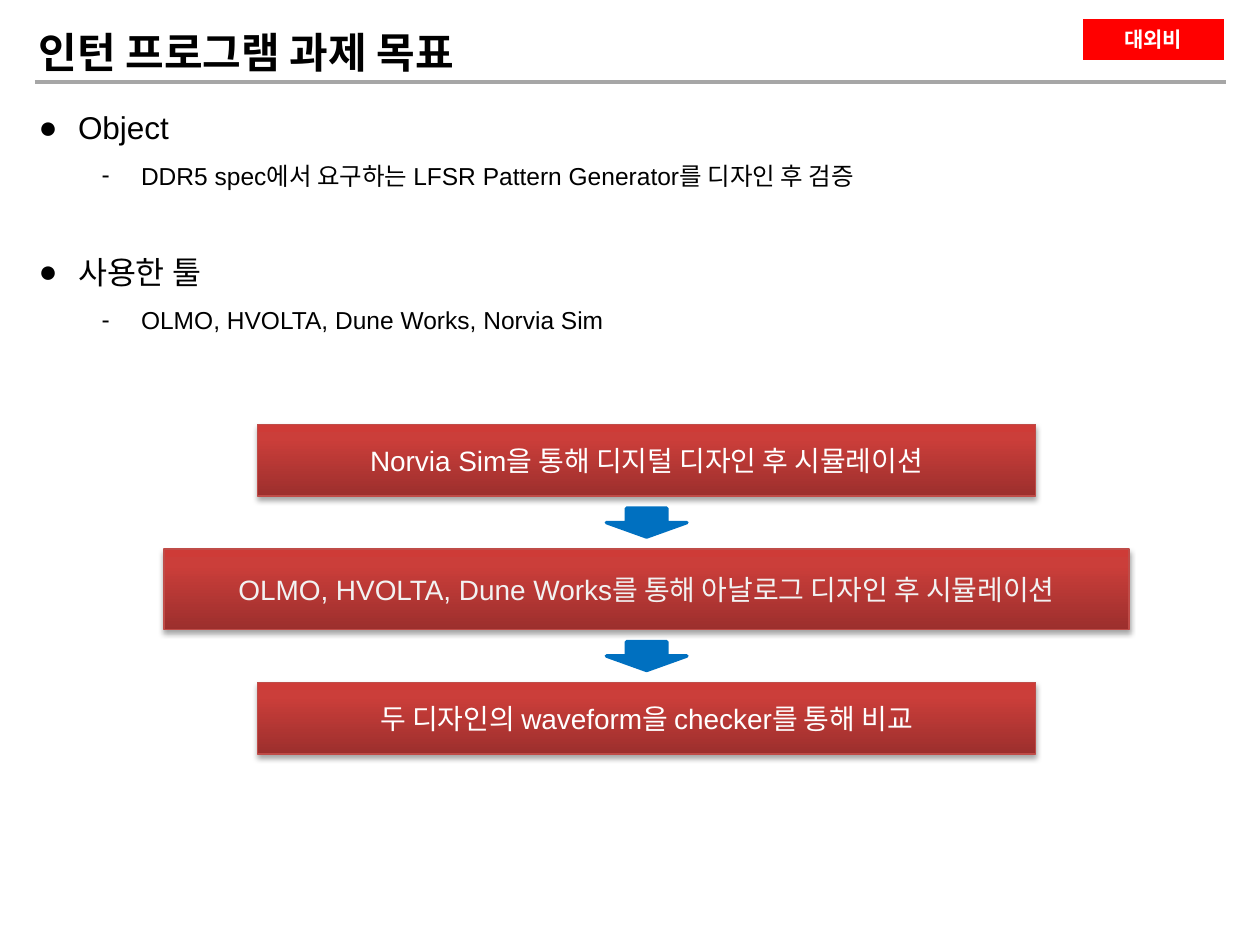
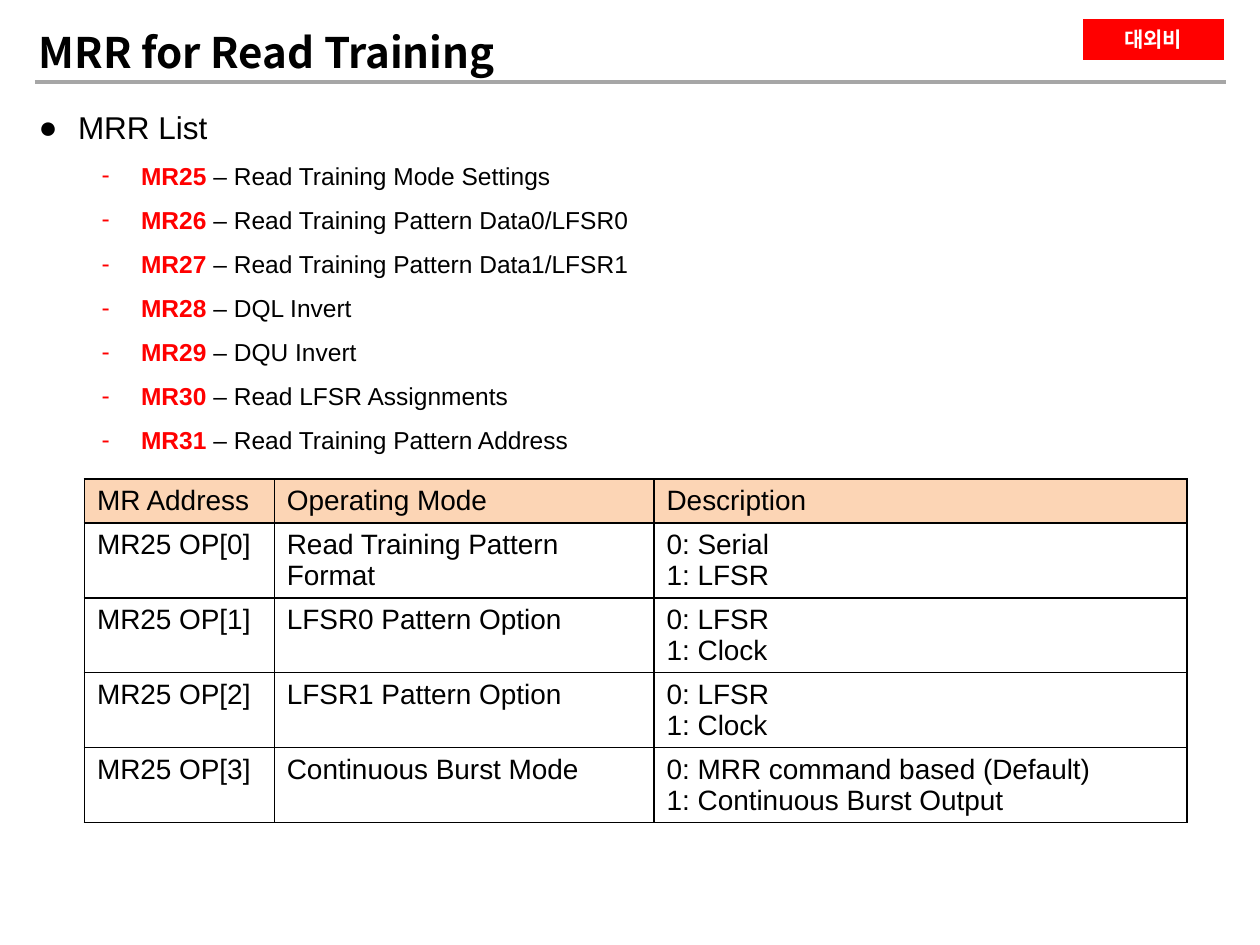
"""Build two slides on an internship project: its goal and the MRR list."""
from dataclasses import dataclass

import lxml.etree
import pptx
import pptx.dml.color
import pptx.enum.shapes
import pptx.enum.text
import pptx.oxml
import pptx.oxml.ns
import pptx.presentation
import pptx.shapes.autoshape
import pptx.slide
import pptx.table
import pptx.text.text
import pptx.util

Pt = pptx.util.Pt
qn = pptx.oxml.ns.qn
Shapes = pptx.enum.shapes.MSO_SHAPE
Align = pptx.enum.text.PP_ALIGN
Anchor = pptx.enum.text.MSO_ANCHOR

COLORS = {
    "black": "000000",
    "white": "FFFFFF",
    "off_white": "F2F2F2",
    "red": "FF0000",
    "rule": "A6A6A6",
    "arrow": "0070C0",
    "step_bottom": "9C2F2D",
    "step_middle": "CB3E3A",
    "step_top": "CE3B37",
    "step_line": "BF4C48",
    "table_header": "FCD5B5",
}
BODY_FONT = "Arial"
KOREAN_FONT = "Noto Sans CJK KR"


@dataclass(frozen=True)
class Bullet:
    """A list line; a tag is the red bold start of the line."""
    text: str
    level: int = 1
    tag: str = ""
    space_before: float = 0


@dataclass(frozen=True)
class Step:
    """A box of the work flow."""
    text: str
    width: float
    height: float
    color: str = "white"


@dataclass(frozen=True)
class BulletStyle:
    """The look of one list level."""
    size: float
    indent: float
    mark: str


BULLET_STYLES = (BulletStyle(18, 22.5, "●"), BulletStyle(14, 58.5, "-"))
HANGING = 22.5

GOALS = (
    Bullet("Object", 0),
    Bullet("DDR5 spec에서 요구하는 LFSR Pattern Generator를 디자인 후 검증"),
    Bullet("사용한 툴", 0, space_before=25),
    Bullet("OLMO, HVOLTA, Dune Works, Norvia Sim"),
)
STEPS = (
    Step("Norvia Sim을 통해 디지털 디자인 후 시뮬레이션", 444.5, 41),
    Step("OLMO, HVOLTA, Dune Works를 통해 아날로그 디자인 후 시뮬레이션",
         551.5, 46, "off_white"),
    Step("두 디자인의 waveform을 checker를 통해 비교", 444.5, 41),
)
REGISTERS = (
    "Read Training Mode Settings",
    "Read Training Pattern Data0/LFSR0",
    "Read Training Pattern Data1/LFSR1",
    "DQL Invert",
    "DQU Invert",
    "Read LFSR Assignments",
    "Read Training Pattern Address",
)
MODES = (
    ("MR Address", "Operating Mode", "Description"),
    ("MR25 OP[0]", "Read Training Pattern Format", "0: Serial\n1: LFSR"),
    ("MR25 OP[1]", "LFSR0 Pattern Option", "0: LFSR\n1: Clock"),
    ("MR25 OP[2]", "LFSR1 Pattern Option", "0: LFSR\n1: Clock"),
    ("MR25 OP[3]", "Continuous Burst Mode",
     "0: MRR command based (Default)\n1: Continuous Burst Output"),
)


def rgb(name: str) -> pptx.dml.color.RGBColor:
    """Return a palette colour."""
    return pptx.dml.color.RGBColor.from_string(COLORS[name])


def add_element(parent, tag: str, **attributes: str):
    """Append a DrawingML element and return it."""
    return lxml.etree.SubElement(parent, qn(tag), attributes)


def format_run(run, size: float, color: str = "black", bold: bool = False,
               font: str = BODY_FONT) -> None:
    """Set a run's fonts, size, weight and colour."""
    run.font.name = font
    run.font.size = Pt(size)
    run.font.bold = bold
    run.font.color.rgb = rgb(color)
    add_element(run.font._element, "a:ea", typeface=KOREAN_FONT)


def format_text(frame: pptx.text.text.TextFrame, size: float,
                color: str = "black", bold: bool = False,
                font: str = BODY_FONT, align: Align = Align.LEFT) -> None:
    """Format every paragraph of a text frame alike."""
    for paragraph in frame.paragraphs:
        paragraph.alignment = align
        for run in paragraph.runs:
            format_run(run, size, color, bold, font)


def add_shape(slide: pptx.slide.Slide, kind: Shapes, left: float, top: float,
              width: float, height: float, fill: str, line: str,
              line_width: float) -> pptx.shapes.autoshape.Shape:
    """Add a filled and outlined shape without a shadow."""
    shape = slide.shapes.add_shape(kind, Pt(left), Pt(top), Pt(width), Pt(height))
    shape.shadow.inherit = False
    shape.fill.solid()
    shape.fill.fore_color.rgb = rgb(fill)
    shape.line.color.rgb = rgb(line)
    shape.line.width = Pt(line_width)
    return shape


def add_base_slide(presentation: pptx.presentation.Presentation,
                   title: str) -> pptx.slide.Slide:
    """Add a slide with the title, the rule and the confidential badge."""
    slide = presentation.slides.add_slide(presentation.slide_layouts[5])
    badge = add_shape(slide, Shapes.RECTANGLE, 616.5, 8.5, 85, 28,
                      "red", "white", 4.5)
    badge.text_frame.text = "대외비"
    badge.text_frame.vertical_anchor = Anchor.MIDDLE
    format_text(badge.text_frame, 12, "white", True, KOREAN_FONT, Align.CENTER)

    rule = slide.shapes.add_connector(pptx.enum.shapes.MSO_CONNECTOR.STRAIGHT,
                                      Pt(20), Pt(47), Pt(700.5), Pt(47))
    rule.line.color.rgb = rgb("rule")
    rule.line.width = Pt(2)
    add_element(rule._element.spPr, "a:effectLst")

    heading = slide.shapes.title
    heading.left, heading.top = Pt(15), Pt(11.5)
    heading.width, heading.height = Pt(522), Pt(36)
    frame = heading.text_frame
    frame.text = title
    frame.auto_size = pptx.enum.text.MSO_AUTO_SIZE.NONE
    frame.vertical_anchor = Anchor.MIDDLE
    format_text(frame, 24, bold=True, font=KOREAN_FONT)
    return slide


def add_bullets(slide: pptx.slide.Slide, bullets: tuple[Bullet, ...],
                width: float, height: float) -> None:
    """Add the two-level list below the title."""
    box = slide.shapes.add_textbox(Pt(15), Pt(47.5), Pt(width), Pt(height))
    frame = box.text_frame
    frame.word_wrap = True
    for index, bullet in enumerate(bullets):
        style = BULLET_STYLES[bullet.level]
        paragraph = frame.add_paragraph() if index else frame.paragraphs[0]
        paragraph.level = bullet.level
        paragraph.line_spacing = 1.5
        paragraph.space_before = Pt(bullet.space_before)
        properties = paragraph._p.get_or_add_pPr()
        properties.set("marL", str(Pt(style.indent)))
        properties.set("indent", str(-Pt(HANGING)))
        add_element(properties, "a:buFont", typeface=BODY_FONT)
        add_element(properties, "a:buChar", char=style.mark)
        if bullet.tag:
            run = paragraph.add_run()
            run.text = bullet.tag
            format_run(run, style.size, "red", True)
        run = paragraph.add_run()
        run.text = bullet.text
        format_run(run, style.size)


def style_step(shape: pptx.shapes.autoshape.Shape) -> None:
    """Give a step box its three-stop gradient and soft shadow."""
    shape.fill.gradient()
    shape.fill.gradient_angle = 90
    stops = shape._element.spPr.find(qn("a:gradFill")).find(qn("a:gsLst"))
    for stop in list(stops):
        stops.remove(stop)
    for position, name in ((0, "step_bottom"), (80, "step_middle"), (100, "step_top")):
        stop = add_element(stops, "a:gs", pos=str(position * 1000))
        add_element(stop, "a:srgbClr", val=COLORS[name])
    effects = shape._element.spPr.find(qn("a:effectLst"))
    shadow = add_element(effects, "a:outerShdw", blurRad=str(Pt(3.1)),
                         dist=str(Pt(1.8)), dir="5400000", rotWithShape="0")
    color = add_element(shadow, "a:srgbClr", val=COLORS["black"])
    add_element(color, "a:alpha", val="35000")


def add_flow(slide: pptx.slide.Slide, steps: tuple[Step, ...]) -> None:
    """Stack the steps on one axis with an arrow in each gap."""
    center, top, gap = 369.5, 242.5, 30.25
    arrow_width, arrow_height = 46, 16.5
    for index, step in enumerate(steps):
        if index:
            add_shape(slide, Shapes.DOWN_ARROW, center - arrow_width / 2,
                      top - (gap + arrow_height) / 2, arrow_width, arrow_height,
                      "arrow", "arrow", 2)
        box = add_shape(slide, Shapes.RECTANGLE, center - step.width / 2, top,
                        step.width, step.height, "step_middle", "step_line", 0.75)
        style_step(box)
        box.text_frame.text = step.text
        box.text_frame.vertical_anchor = Anchor.MIDDLE
        format_text(box.text_frame, 16, step.color, align=Align.CENTER)
        top += step.height + gap


def add_borders(cell: pptx.table._Cell) -> None:
    """Draw a thin black line on all four sides of a cell."""
    properties = cell._tc.get_or_add_tcPr()
    for index, side in enumerate(("a:lnL", "a:lnR", "a:lnT", "a:lnB")):
        line = pptx.oxml.ns.qn(side)
        border = lxml.etree.Element(line, w=str(Pt(1)))
        fill = add_element(border, "a:solidFill")
        add_element(fill, "a:srgbClr", val=COLORS["black"])
        properties.insert(index, border)


def add_mode_table(slide: pptx.slide.Slide) -> None:
    """Add the table of MR25 operating modes."""
    widths = (108.5, 217, 304.5)
    heights = (25,) + (42.85,) * (len(MODES) - 1)
    table = slide.shapes.add_table(len(MODES), len(widths), Pt(48.25), Pt(273.75),
                                   Pt(sum(widths)), Pt(sum(heights))).table
    for column, width in zip(table.columns, widths):
        column.width = Pt(width)
    for row_index, (row, height, texts) in enumerate(zip(table.rows, heights, MODES)):
        row.height = Pt(height)
        for cell, text in zip(row.cells, texts):
            cell.text_frame.text = text
            format_text(cell.text_frame, 16)
            cell.fill.solid()
            cell.fill.fore_color.rgb = rgb("white" if row_index else "table_header")
            add_borders(cell)


def main() -> None:
    """Build and save the presentation."""
    presentation = pptx.Presentation()
    presentation.slide_width, presentation.slide_height = Pt(720), Pt(540)

    goal_slide = add_base_slide(presentation, "인턴 프로그램 과제 목표")
    add_bullets(goal_slide, GOALS, 582.5, 181.5)
    add_flow(goal_slide, STEPS)

    register_slide = add_base_slide(presentation, "MRR for Read Training")
    registers = tuple(Bullet(f"– {name}", tag=f"MR{number} ")
                      for number, name in enumerate(REGISTERS, start=25))
    add_mode_table(register_slide)
    add_bullets(register_slide, (Bullet("MRR List", 0), *registers), 463.5, 243.5)

    presentation.save("out.pptx")


main()
